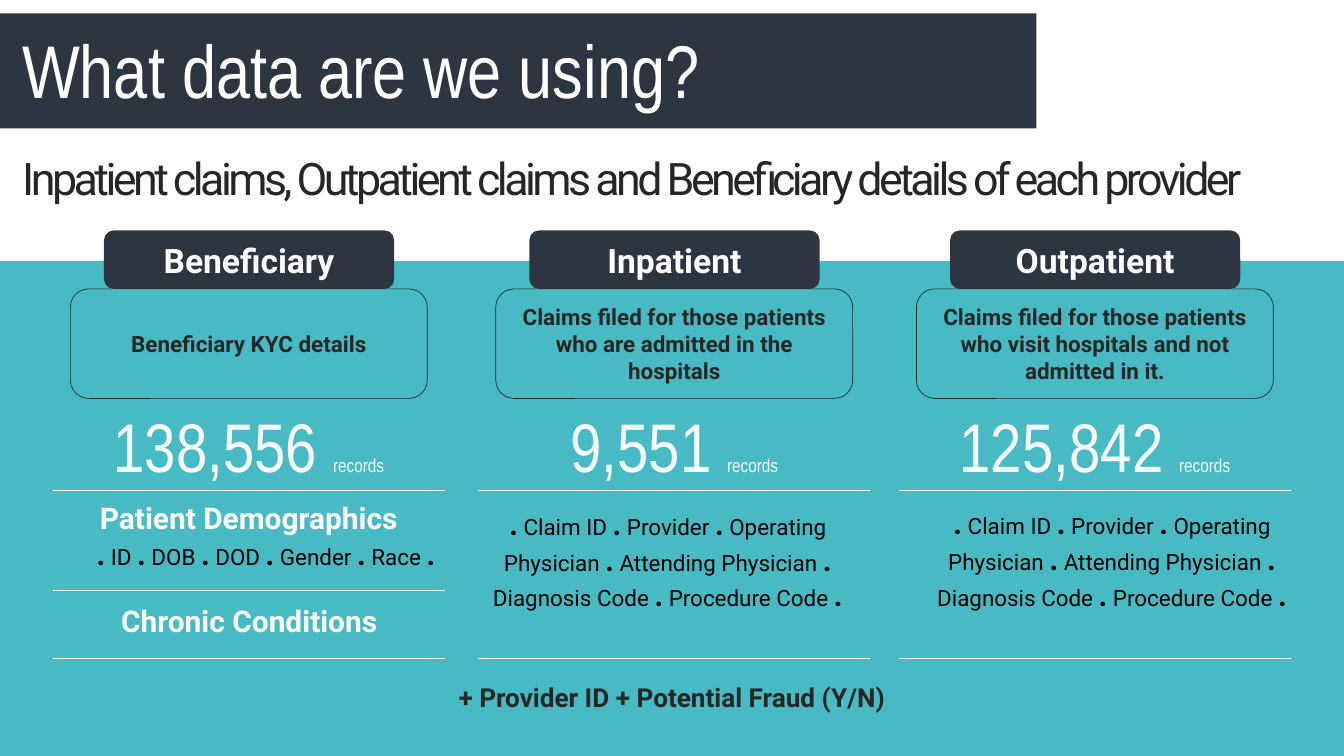
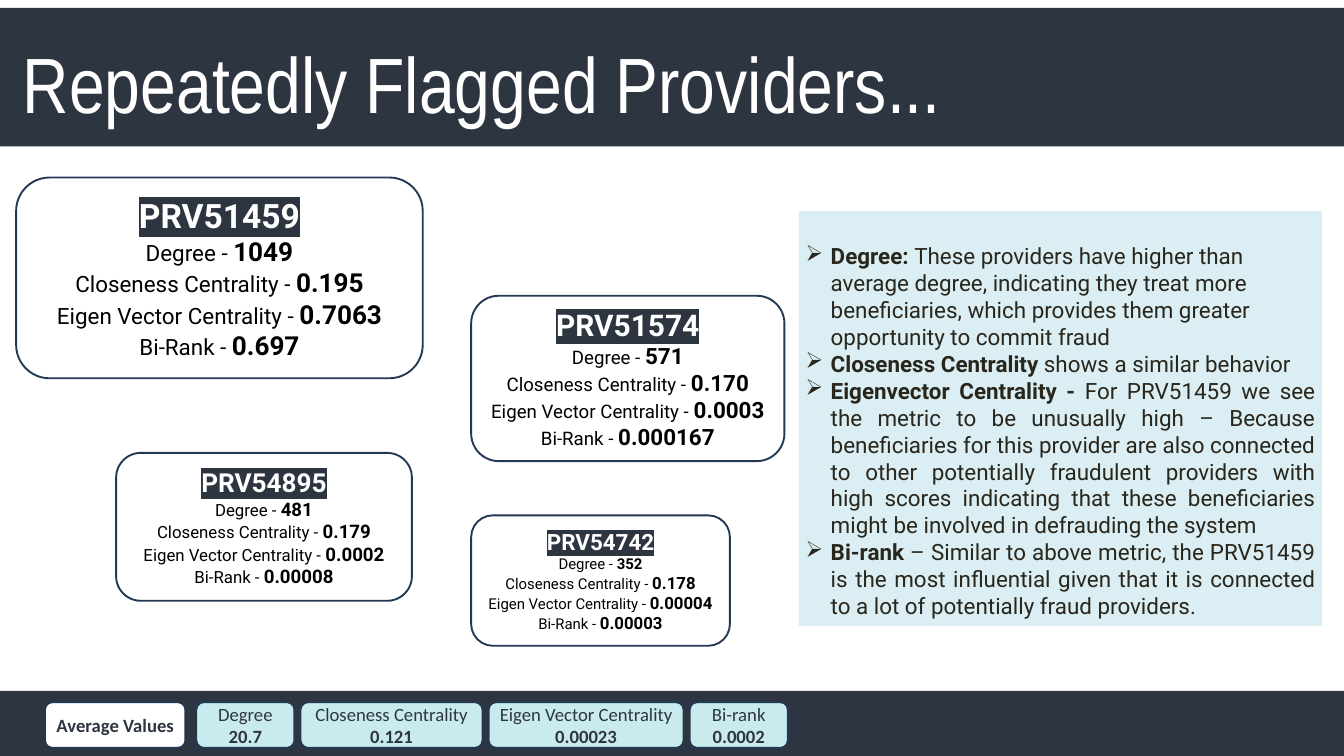
from lxml import etree
from pptx import Presentation
from pptx.dml.color import RGBColor
from pptx.enum.shapes import MSO_CONNECTOR, MSO_SHAPE
from pptx.enum.text import MSO_ANCHOR, MSO_AUTO_SIZE, PP_ALIGN
from pptx.oxml.ns import qn
from pptx.util import Cm, Pt

RECT, ROUND = MSO_SHAPE.RECTANGLE, MSO_SHAPE.ROUNDED_RECTANGLE
STRAIGHT = MSO_CONNECTOR.STRAIGHT
LEFT, CENTER, JUSTIFY = PP_ALIGN.LEFT, PP_ALIGN.CENTER, PP_ALIGN.JUSTIFY
TOP, MIDDLE = MSO_ANCHOR.TOP, MSO_ANCHOR.MIDDLE

NAVY = RGBColor(0x2D, 0x35, 0x41)
TEAL = RGBColor(0x48, 0xBA, 0xC3)
OUTLINE = RGBColor(0x23, 0x39, 0x53)
PALE_BLUE = RGBColor(0xDB, 0xEE, 0xF4)
PALE_TEAL = RGBColor(0xCA, 0xEB, 0xEE)
ICE = RGBColor(0xF7, 0xFD, 0xFE)
WHITE = RGBColor(0xFF, 0xFF, 0xFF)
BLACK = RGBColor(0, 0, 0)
INK = RGBColor(0x26, 0x26, 0x26)
BROWN_INK = RGBColor(0x29, 0x26, 0x1B)

TITLE = {"name": "Arial Narrow", "color": WHITE, "bold": False}
BODY = {"name": "Roboto", "color": BLACK, "bold": False}
STRONG = {**BODY, "bold": True}
CHIP = {"name": "Calibri", "color": NAVY, "size": Pt(20)}

NO_INSET = (0, 0, 0, 0)
EVEN_INSET = (0.25, 0.25, 0.25, 0.25)
USUAL_INSET = (0.25, 0.13, 0.25, 0.13)


def add_box(page, kind, place, fill=None, line=None, weight=0.75):
    """Add a preset shape, or a text box when kind is None; place is in cm."""
    place = [Cm(length) for length in place]
    if kind is None:
        return page.shapes.add_textbox(*place)
    box = page.shapes.add_shape(kind, *place)
    box.shadow.inherit = False
    if fill is None:
        box.fill.background()
    else:
        box.fill.solid()
        box.fill.fore_color.rgb = fill
    if line is None:
        box.line.fill.background()
    else:
        box.line.color.rgb = line
        box.line.width = Pt(weight)
    return box


def write(box, paragraphs, align=CENTER, anchor=MIDDLE, inset=USUAL_INSET):
    """Fill a box with paragraphs, each a list of (text, format) spans."""
    frame = box.text_frame
    frame.word_wrap = True
    frame.auto_size = MSO_AUTO_SIZE.NONE
    frame.vertical_anchor = anchor
    for side, length in zip(("left", "top", "right", "bottom"), inset):
        setattr(frame, f"margin_{side}", Cm(length))
    for index, spans in enumerate(paragraphs):
        para = frame.add_paragraph() if index else frame.paragraphs[0]
        para.alignment = align
        for text, style in spans:
            span = para.add_run()
            span.text = text
            for key, value in style.items():
                if key == "color":
                    span.font.color.rgb = value
                elif key == "spacing":
                    span._r.get_or_add_rPr().set("spc", str(value))
                elif key == "highlight":
                    mark = etree.Element(qn("a:highlight"))
                    etree.SubElement(mark, qn("a:srgbClr"), val=str(value))
                    span._r.rPr.find(qn("a:solidFill")).addnext(mark)
                else:
                    setattr(span.font, key, value)
    return frame.paragraphs


deck = Presentation()
deck.slide_width, deck.slide_height = Cm(50.8), Cm(28.575)
title_only = deck.slide_layouts[5]

# Title bands and titles
headings = [
    ("What data are we using?", 80, 66.4, NO_INSET,
     (0, 0.51, 39.17, 4.34), (0.84, 1.96, 27.89, 2.62)),
    ("Repeatedly Flagged Providers...", 84, None, EVEN_INSET,
     (0, 0.3, 50.8, 5.23), (0.61, 1.09, 39.47, 3.58)),
]
pages = []
for text, size, spacing, inset, band, place in headings:
    page = deck.slides.add_slide(title_only)
    add_box(page, RECT, band, NAVY)
    title = page.shapes.title
    page.shapes.element.append(title.element)
    title.left, title.top, title.width, title.height = [Cm(n) for n in place]
    para = write(title, [[(text, {**TITLE, "size": Pt(size)})]], LEFT, TOP, inset)[0]
    if spacing:
        para.line_spacing = Pt(spacing)
    pages.append(page)
data_page, provider_page = pages

# Data sources
add_box(data_page, RECT, (0, 9.86, 50.8, 18.72), TEAL)
subtitle = add_box(data_page, None, (0.84, 5.49, 46.56, 2.08))
subtitle_text = "Inpatient claims, Outpatient claims and Beneficiary details of each provider"
subtitle_style = {**BODY, "size": Pt(48), "color": INK, "spacing": -380}
write(subtitle, [[(subtitle_text, subtitle_style)]],
      LEFT, TOP, NO_INSET)[0].line_spacing = Pt(63.7)

claim_fields = ["Claim ID", "Provider", "Operating Physician", "Attending Physician",
                "Diagnosis Code", "Procedure Code"]
# left edge, heading, description, records, fields, field box, rules
columns = [
    (2, "Beneficiary", "Beneficiary KYC details", "138,556",
     ["ID", "DOB", "DOD", "Gender", "Race"],
     (0.84, 19.99, 17.15, 2.03), (18.52, 22.33, 24.87)),
    (18.08, "Inpatient",
     "Claims filed for those patients who are admitted in the hospitals", "9,551",
     claim_fields, (16.03, 18.85, 17.15, 4.78), (18.52, 24.87)),
    (33.98, "Outpatient",
     "Claims filed for those patients who visit hospitals and not admitted in it.",
     "125,842", claim_fields, (32.82, 18.82, 17.15, 4.78), (18.52, 24.87)),
]
dot = (".", {**STRONG, "size": Pt(32)})
for left, heading, description, records, fields, field_place, rules in columns:
    header = add_box(data_page, ROUND, (left + 1.93, 8.71, 10.97, 2.21), NAVY)
    write(header, [[(heading, {**STRONG, "size": Pt(36), "color": WHITE})]],
          inset=EVEN_INSET)
    card = add_box(data_page, ROUND, (left + 0.66, 10.92, 13.49, 4.14), line=INK)
    write(card, [[(description, {**STRONG, "size": Pt(24), "color": INK})]],
          inset=EVEN_INSET)

    count = add_box(data_page, None, (left + 2.16, 16.21, 10.49, 2.41))
    count_spans = [(f"{records} ", {**TITLE, "size": Pt(73.7), "color": ICE}),
                   ("records", {**TITLE, "size": Pt(20), "color": ICE})]
    write(count, [count_spans], anchor=TOP, inset=NO_INSET)[0].line_spacing = Pt(61.2)

    field_spans = [dot]
    for field in fields:
        field_spans += [(f" {field} ", {**BODY, "size": Pt(24)}), dot]
    field_box = add_box(data_page, None, field_place)
    para = write(field_box, [field_spans], anchor=TOP, inset=EVEN_INSET)[0]
    para._p.get_or_add_pPr().set("marL", str(Cm(1.27)))

    for height in rules:
        rule = data_page.shapes.add_connector(
            STRAIGHT, Cm(left), Cm(height), Cm(left + 14.82), Cm(height))
        rule.line.color.rgb = WHITE
        rule.line.width = Pt(0.75)
        etree.SubElement(rule.element.spPr, qn("a:effectLst"))

labels = [
    ("Patient Demographics", 32, WHITE, (3.1, 18.77, 12.62, 1.63), USUAL_INSET),
    ("Chronic Conditions", 32, WHITE, (3.56, 22.66, 11.73, 1.63), USUAL_INSET),
    ("+ Provider ID + Potential Fraud (Y/N)", 28, INK,
     (15.54, 25.76, 19.69, 1.19), NO_INSET),
]
for text, size, color, place, inset in labels:
    label = add_box(data_page, None, place)
    write(label, [[(text, {**STRONG, "size": Pt(size), "color": color})]],
          anchor=TOP, inset=inset)

# Findings panel
findings = [
    ("Degree: ", "These providers have higher than average degree, indicating they treat "
     "more beneficiaries, which provides them greater opportunity to commit fraud", LEFT),
    ("Closeness Centrality ", "shows a similar behavior", LEFT),
    ("Eigenvector Centrality - ", "For PRV51459 we see the metric to be unusually high – "
     "Because beneficiaries for this provider are also connected to other potentially "
     "fraudulent providers with high scores indicating that these beneficiaries might be "
     "involved in defrauding the system", JUSTIFY),
    ("Bi-rank ", "– Similar to above metric, the PRV51459 is the most influential given "
     "that it is connected to a lot of potentially fraud providers.", JUSTIFY),
]
finding_style = {"size": Pt(24), "color": BROWN_INK}
panel = add_box(provider_page, RECT, (30.2, 8, 19.76, 15.65), PALE_BLUE, PALE_BLUE)
paras = write(panel, [[(term, {**STRONG, **finding_style}), (text, {**BODY, **finding_style})]
                      for term, text, align in findings],
              anchor=TOP, inset=(0.25, 1.17, 0.25, 0.13))
for para, (term, text, align) in zip(paras, findings):
    para.alignment = align
    properties = para._p.get_or_add_pPr()
    properties.set("marL", str(Cm(0.95)))
    properties.set("indent", str(-Cm(0.95)))
    etree.SubElement(properties, qn("a:buChar"), char="➢")

# Provider cards: sizes are name, label, degree value, other values
metrics = ["Degree", "Closeness Centrality", "Eigen Vector Centrality", "Bi-Rank"]
providers = [
    ("PRV51459", (0.61, 6.71, 15.37, 7.59), (36, 24, 28, 28),
     ("1049", "0.195", "0.7063", "0.697")),
    ("PRV51574", (17.81, 11.18, 11.84, 6.25), (32, 20, 24, 24),
     ("571", "0.170", "0.0003", "0.000167")),
    ("PRV54895", (4.39, 17.12, 11.18, 5.59), (28, 18, 20, 20),
     ("481", "0.179", "0.0002", "0.00008")),
    ("PRV54742", (17.81, 19.48, 9.78, 4.93), (24, 16, 16, 18),
     ("352", "0.178", "0.00004", "0.00003")),
]
for provider, place, (name_size, label_size, degree_size, value_size), values in providers:
    name_style = {**STRONG, "size": Pt(name_size), "color": WHITE, "highlight": NAVY}
    lines = [[(provider, name_style)]]
    for metric, value in zip(metrics, values):
        size = degree_size if metric == "Degree" else value_size
        lines.append([(f"{metric} - ", {**BODY, "size": Pt(label_size)}),
                      (value, {**STRONG, "size": Pt(size)})])
    write(add_box(provider_page, ROUND, place, line=OUTLINE, weight=2), lines)

# Footer with average values
add_box(provider_page, RECT, (0, 26.11, 50.8, 2.46), NAVY)
chip_top, chip_height, chip_gap = 26.54, 1.73, 0.23
caption = add_box(provider_page, ROUND, (1.7, chip_top, 5.31, chip_height),
                  WHITE, OUTLINE, 2)
write(caption, [[("Average Values", {**CHIP, "bold": True})]])
averages = [("Degree", "20.7", 3.71), ("Closeness Centrality", "0.121", 6.88),
            ("Eigen Vector Centrality", "0.00023", 7.37), ("Bi-rank", "0.0002", 3.71)]
left = 7.42
for metric, value, width in averages:
    chip = add_box(provider_page, ROUND, (left, chip_top, width, chip_height),
                   PALE_TEAL, OUTLINE, 2)
    write(chip, [[(metric, CHIP)], [(value, {**CHIP, "bold": True})]])
    left += width + chip_gap

deck.save("out.pptx")
